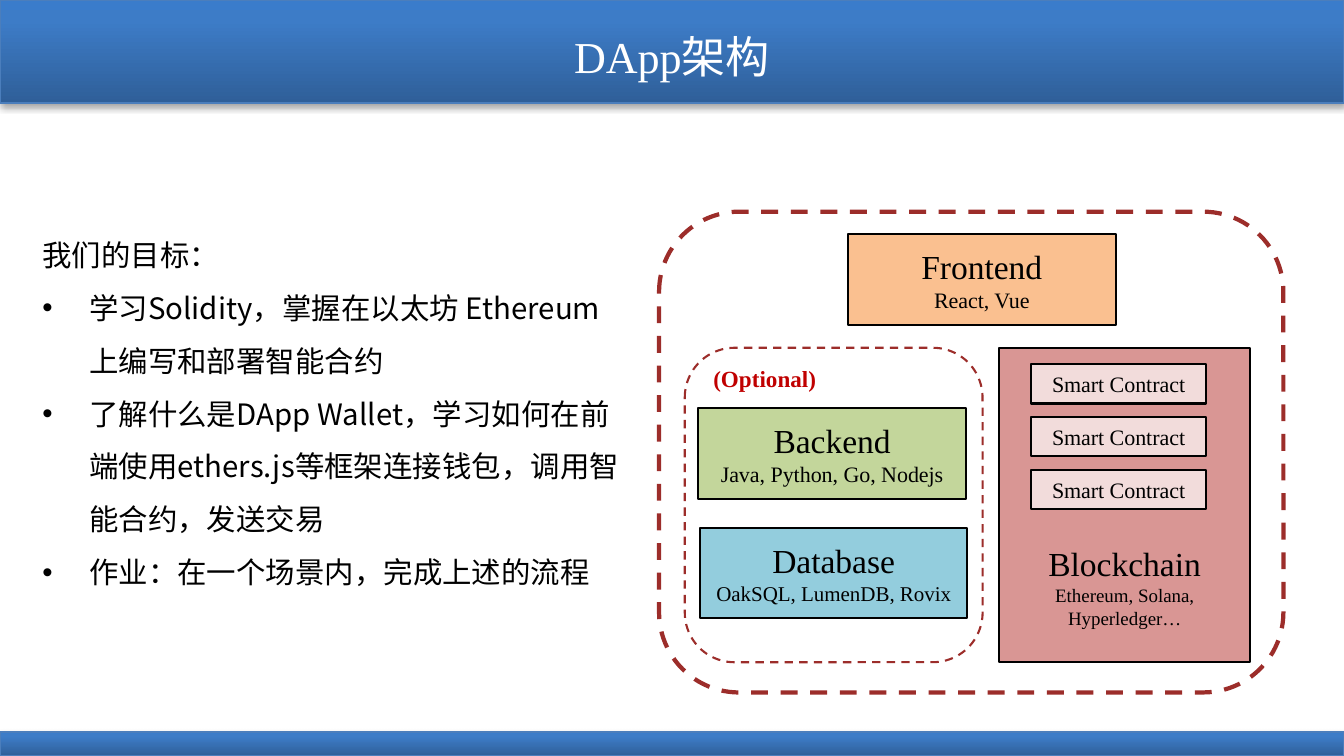
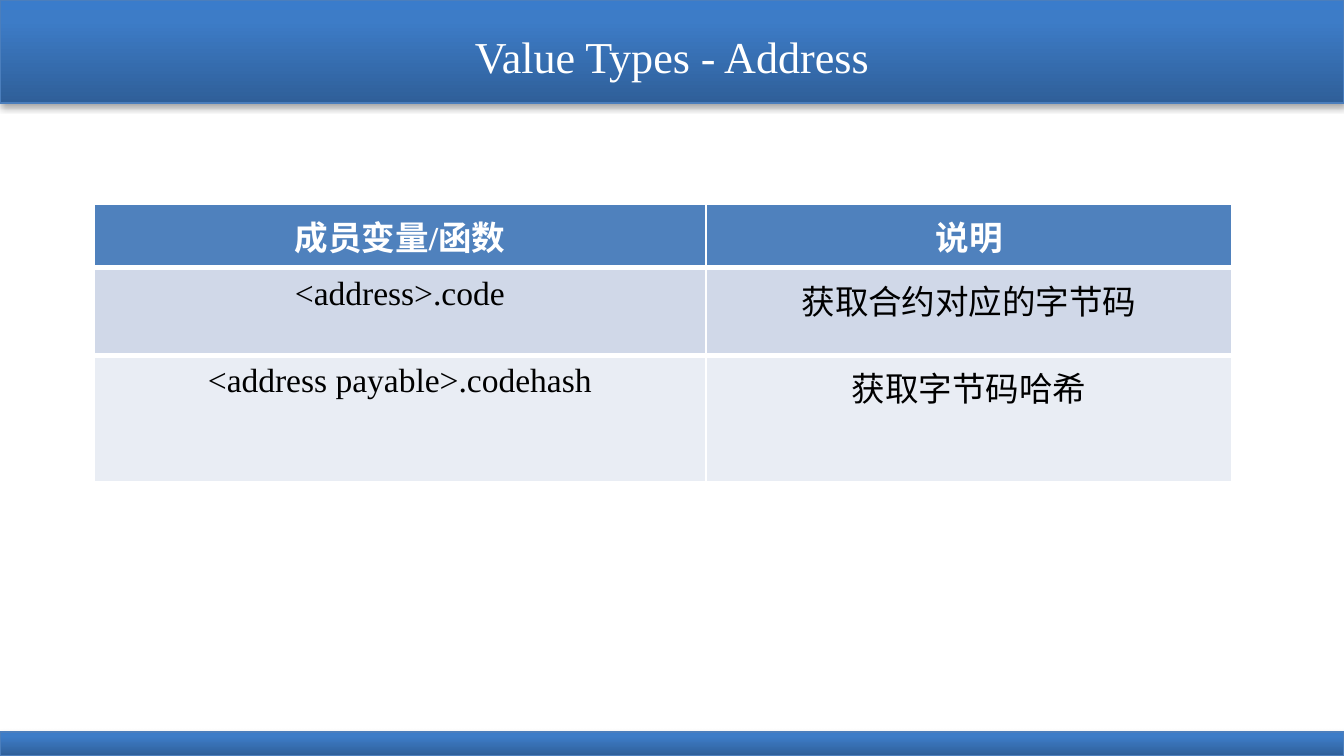
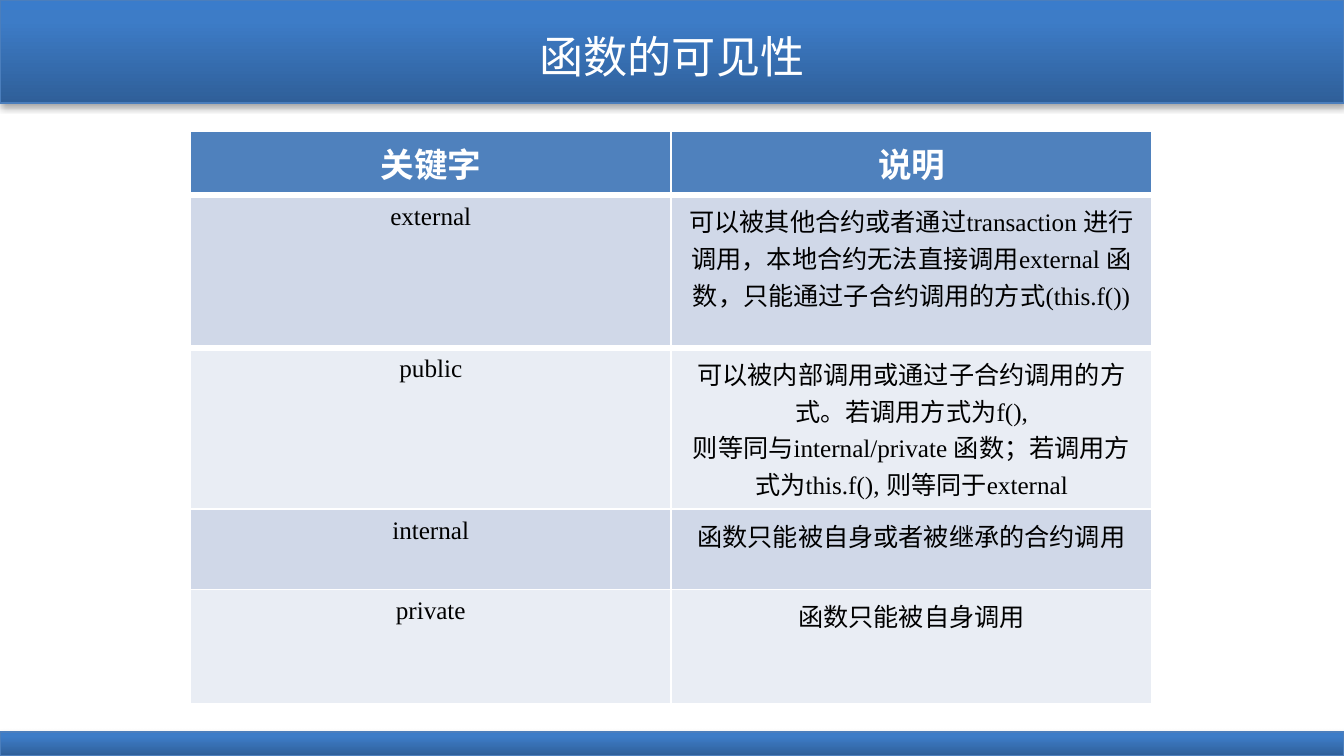
"""Build three slides on DApp architecture, address members and function visibility."""
import copy
import pptx
import pptx.dml.color
import pptx.enum.dml
import pptx.enum.shapes
import pptx.enum.text
import pptx.oxml
import pptx.oxml.ns
import pptx.util

Inches = pptx.util.Inches
Pt = pptx.util.Pt
RGB = pptx.dml.color.RGBColor
ALIGN = pptx.enum.text.PP_ALIGN
ANCHOR = pptx.enum.text.MSO_ANCHOR
SHAPE = pptx.enum.shapes.MSO_SHAPE

BLACK = RGB(0x00, 0x00, 0x00)
WHITE = RGB(0xFF, 0xFF, 0xFF)
RED = RGB(0xC0, 0x00, 0x00)
BRICK = RGB(0x9C, 0x2D, 0x2A)
ORANGE = RGB(0xFA, 0xC0, 0x90)
GREEN = RGB(0xC3, 0xD6, 0x9B)
AQUA = RGB(0x93, 0xCD, 0xDD)
ROSE = RGB(0xD9, 0x96, 0x94)
BLUSH = RGB(0xF2, 0xDC, 0xDB)
EDGE = RGB(0x4B, 0x7E, 0xBC)
HEAD = RGB(0x4F, 0x81, 0xBD)
ROWS = [RGB(0xE9, 0xED, 0xF4), RGB(0xD0, 0xD8, 0xE8)]
STOPS = [(0, RGB(0x2F, 0x5F, 0x99)), (0.8, RGB(0x3D, 0x7C, 0xC7)), (1, RGB(0x3A, 0x7C, 0xCB))]
SERIF = "Times New Roman"
SANS = "Noto Sans CJK SC"
WIDTH = 8.89


def text(frame, lines, sizes, color=BLACK, font=SERIF, bold=False,
         align=ALIGN.CENTER, anchor=ANCHOR.MIDDLE, space=1.0):
    """Fill a frame with one paragraph a line; the last size holds for the rest."""
    frame.word_wrap = True
    frame.vertical_anchor = anchor
    for i, line in enumerate(lines):
        para = frame.paragraphs[0] if i == 0 else frame.add_paragraph()
        para.alignment = align
        para.line_spacing = space
        para.space_before = Pt(0)
        run = para.add_run()
        run.text = line
        run.font.size = Pt(sizes[min(i, len(sizes) - 1)])
        run.font.bold = bold
        run.font.color.rgb = color
        run.font.name = font
        east = pptx.oxml.parse_xml(f'<a:ea {pptx.oxml.ns.nsdecls("a")} typeface="{SANS}"/>')
        run.font._element.append(east)


def box(slide, kind, place, fill, line=BLACK, width=1):
    """Add a flat outlined shape."""
    shape = slide.shapes.add_shape(kind, *map(Inches, place))
    shape.shadow.inherit = False
    shape.fill.solid()
    shape.fill.fore_color.rgb = fill
    shape.line.color.rgb = line
    shape.line.width = Pt(width)
    return shape


deck = pptx.Presentation()
deck.slide_width = Inches(WIDTH)
deck.slide_height = Inches(5)
master = deck.slide_master

slides = []
for title, layout in [("DApp架构", 1), ("Value Types - Address", 5), ("函数的可见性", 5)]:
    slide = deck.slides.add_slide(deck.slide_layouts[layout])
    name = slide.shapes.title
    name.left, name.top, name.width, name.height = map(Inches, (0, 0.13, WIDTH, 0.48))
    text(name.text_frame, [title], [21], color=WHITE)
    name.text_frame.auto_size = pptx.enum.text.MSO_AUTO_SIZE.NONE
    slides.append(slide)
goal, member, scope = slides

for i, (top, height) in enumerate([(0, 0.68), (4.84, 0.16)]):
    band = box(goal, SHAPE.RECTANGLE, (0, top, WIDTH, height), HEAD, EDGE, 0.75)
    band.fill.gradient()
    band.fill.gradient_angle = 90
    first = band.element.xpath(".//a:gs")[0]
    first.addnext(copy.deepcopy(first))
    for stop, (spot, color) in zip(band.fill.gradient_stops, STOPS):
        stop.position = spot
        stop.color.rgb = color
    band.element.xpath(".//a:effectLst")[0].append(pptx.oxml.parse_xml(
        f'<a:outerShdw {pptx.oxml.ns.nsdecls("a")} blurRad="40000" dist="23000" '
        'dir="5400000" rotWithShape="0"><a:srgbClr val="000000">'
        '<a:alpha val="35000"/></a:srgbClr></a:outerShdw>'))
    band.element.xpath(".//p:cNvPr")[0].set("id", str(20 + i))
    master.shapes.element.insert(2 + i, band.element)

body = goal.placeholders[1]
body.left, body.top, body.width, body.height = map(Inches, (0.18, 1.4, 4.06, 2.54))
text(body.text_frame, [
    "我们的目标：",
    "学习Solidity，掌握在以太坊 Ethereum上编写和部署智能合约",
    "了解什么是DApp Wallet，学习如何在前端使用ethers.js等框架连接钱包，调用智能合约，发送交易",
    "作业：在一个场景内，完成上述的流程",
], [14], font=SANS, align=ALIGN.LEFT, anchor=ANCHOR.TOP, space=1.5)
body.text_frame.auto_size = pptx.enum.text.MSO_AUTO_SIZE.NONE
for i, para in enumerate(body.text_frame.paragraphs):
    indent = Inches(0.31) if i else 0
    props = para._p.get_or_add_pPr()
    props.set("marL", str(indent))
    props.set("indent", str(-indent))
    mark = 'buChar char="•"' if i else "buNone"
    props.append(pptx.oxml.parse_xml(
        f'<a:{mark} {pptx.oxml.ns.nsdecls("a")}/>'))

for place, width in [((4.36, 1.4, 4.13, 3.18), 2), ((4.53, 2.3, 1.97, 2.08), 1)]:
    frame = box(goal, SHAPE.ROUNDED_RECTANGLE, place, WHITE, BRICK, width)
    frame.line.dash_style = pptx.enum.dml.MSO_LINE.DASH

for left, top, fill, label, tools, size in [
    (5.61, 1.55, ORANGE, "Frontend", "React, Vue", 10.5),
    (4.62, 2.7, GREEN, "Backend", "Java, Python, Go, Nodejs", 10.5),
    (4.63, 3.49, AQUA, "Database", "OakSQL, LumenDB, Rovix", 10),
]:
    layer = box(goal, SHAPE.RECTANGLE, (left, top, 1.77, 0.6), fill)
    text(layer.text_frame, [label, tools], [16, size])

note = goal.shapes.add_textbox(*map(Inches, (4.62, 2.36, 1.26, 0.29)))
text(note.text_frame, ["(Optional)"], [11], color=RED, bold=True,
     align=ALIGN.LEFT, anchor=ANCHOR.TOP)

chain = box(goal, SHAPE.RECTANGLE, (6.61, 2.3, 1.66, 2.08), ROSE)
text(chain.text_frame, ["Blockchain", "Ethereum, Solana, Hyperledger…"], [16, 9],
     anchor=ANCHOR.BOTTOM)
chain.text_frame.margin_bottom = Inches(0.22)
for i in range(3):
    pact = box(goal, SHAPE.RECTANGLE, (6.82, 2.41 + 0.35 * i, 1.16, 0.26), BLUSH)
    text(pact.text_frame, ["Smart Contract"], [10.5])

for slide, left, top, cols, rows, size, cells in [
    (member, 0.62, 1.35, [4.05, 3.48], [0.3, 0.58, 0.84], 16, [
        ("成员变量/函数", "说明"),
        ("<address>.code", "获取合约对应的字节码"),
        ("<address payable>.codehash", "获取字节码哈希"),
    ]),
    (scope, 1.26, 0.87, [3.18, 3.18], [0.31, 0.76, 0.76, 0.53, 0.76], 12, [
        ("关键字", "说明"),
        ("external", "可以被其他合约或者通过transaction 进行调用，本地合约⽆法直接调用external "
                     "函数，只能通过子合约调用的方式(this.f())"),
        ("public", "可以被内部调用或通过子合约调用的方式。若调用方式为f(), 则等同与internal/private "
                   "函数；若调用方式为this.f(), 则等同于external"),
        ("internal", "函数只能被自身或者被继承的合约调用"),
        ("private", "函数只能被自身调用"),
    ]),
]:
    place = map(Inches, (left, top, sum(cols), sum(rows)))
    table = slide.shapes.add_table(len(rows), len(cols), *place).table
    for col, width in zip(table.columns, cols):
        col.width = Inches(width)
    for r, height in enumerate(rows):
        table.rows[r].height = Inches(height)
        for c, words in enumerate(cells[r]):
            cell = table.cell(r, c)
            cell.fill.solid()
            cell.fill.fore_color.rgb = ROWS[r % 2] if r else HEAD
            text(cell.text_frame, [words], [size if r else 16],
                 color=BLACK if r else WHITE, bold=r == 0, anchor=ANCHOR.TOP)
            if r < 2:
                side = "lnT" if r else "lnB"
                cell._tc.get_or_add_tcPr().insert(0, pptx.oxml.parse_xml(
                    f'<a:{side} {pptx.oxml.ns.nsdecls("a")} w="{Pt(3)}"><a:solidFill>'
                    f'<a:srgbClr val="{WHITE}"/></a:solidFill></a:{side}>'))

deck.save("out.pptx")
